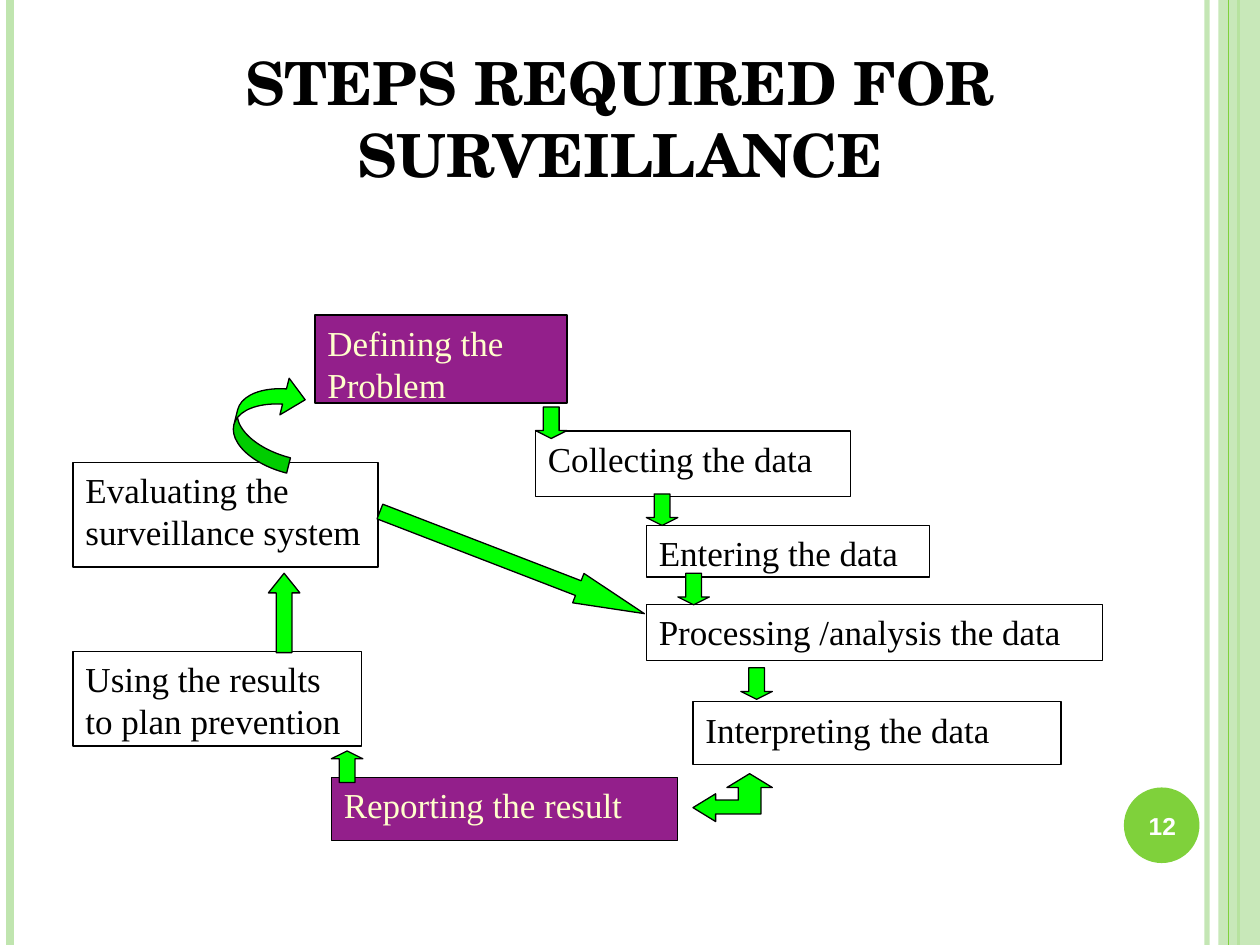
from lxml.etree import SubElement
from pptx import Presentation
from pptx.dml.color import RGBColor
from pptx.enum.shapes import MSO_CONNECTOR, MSO_SHAPE
from pptx.enum.text import MSO_ANCHOR, MSO_AUTO_SIZE, PP_ALIGN
from pptx.oxml.ns import qn
from pptx.util import Inches, Pt

THEME = {
    "ink": "000000", "paper": "FFFFFF", "plum": "931F8B", "cream": "FFFFCC",
    "lime": "00FF00", "leaf": "7FD13B", "pale": "C0E5AF",
    "head": ("TeX Gyre Schola", 34), "body": ("Times New Roman", 20),
    "page": ("Arial", 14), "edge": 0.75,
}

TITLE = "STEPS REQUIRED FOR SURVEILLANCE"
PAGE = "12"

# text, (left, top, width, height), highlighted
STEPS = [
    ("Defining the Problem", (2.5, 2.5, 2, 0.7), True),
    ("Collecting the data", (4.25, 3.42, 2.5, 0.52), False),
    ("Processing /analysis the data", (5.13, 4.8, 3.62, 0.44), False),
    ("Entering the data", (5.13, 4.17, 2.25, 0.41), False),
    ("Interpreting the data", (5.5, 5.57, 2.92, 0.5), False),
    ("Reporting the result", (2.63, 6.17, 2.75, 0.5), True),
    ("Using the results to plan prevention", (0.58, 5.17, 2.29, 0.75), False),
    ("Evaluating the surveillance system", (0.58, 3.67, 2.42, 0.83), False),
]

# shape, (left, top, width, height), adjustments, rotation
DOWN, UP = MSO_SHAPE.DOWN_ARROW, MSO_SHAPE.UP_ARROW
ARROWS = [(DOWN, (x, y, 0.25, 0.25), (0.5, 0.25), 0)
          for x, y in [(4.25, 3.23), (5.13, 3.92), (5.38, 4.55), (5.88, 5.3)]]
ARROWS += [
    (UP, (2.63, 5.96, 0.25, 0.25), (0.5, 0.25), 0),
    (UP, (2.13, 4.55, 0.25, 0.63), (0.5, 0.625), 0),
    (MSO_SHAPE.CURVED_DOWN_ARROW, (1.75, 3.08, 0.75, 0.5),
     (0.25, 0.6, 0.33), 284.2),
    (UP, (3.94, 3.34, 0.25, 2.25), (0.5, 2.25), 111.1),
]

# Two-headed bend, in hundredths of an inch
BEND = [(595, 614), (577, 625), (586, 625), (586, 635), (568, 635), (568, 630),
        (550, 641), (568, 652), (568, 646), (604, 646), (604, 625), (613, 625)]

# x, colour, width, opacity of the full-height rules
RULES = [(9.58, "pale", 3, 93), (0.08, "pale", 4.5, 100),
         (9.83, "leaf", 1.5, 100), (9.75, "leaf", 0.75, 100)]


def tone(name):
    return RGBColor.from_string(THEME[name])


def fade(fill, part):
    """Set the opacity, in percent, of a solid colour in the given element."""
    node = fill.find(".//" + qn("a:srgbClr"))
    SubElement(node, qn("a:alpha")).set("val", str(part * 1000))


def paint(shape, fill, edge=None):
    shape.shadow.inherit = False
    shape.fill.solid()
    shape.fill.fore_color.rgb = tone(fill)
    if edge:
        shape.line.color.rgb = tone(edge)
        shape.line.width = Pt(THEME["edge"])
    else:
        shape.line.fill.background()


def draw(slide, kind, box, fill, edge=None):
    shape = slide.shapes.add_shape(kind, *map(Inches, box))
    paint(shape, fill, edge)
    return shape


def write(shape, text, style="body", color="ink", bold=False,
          align=PP_ALIGN.LEFT, anchor=MSO_ANCHOR.TOP):
    frame = shape.text_frame
    frame.word_wrap = True
    frame.auto_size = MSO_AUTO_SIZE.NONE
    frame.vertical_anchor = anchor
    para = frame.paragraphs[0]
    para.alignment = align
    run = para.add_run()
    run.text = text
    font = run.font
    name, size = THEME[style]
    font.name, font.size, font.bold = name, Pt(size), bold
    font.color.rgb = tone(color)


def rule(slide, x, color, width, part):
    line = slide.shapes.add_connector(
        MSO_CONNECTOR.STRAIGHT, Inches(x), 0, Inches(x), Inches(7.5))
    line.line.color.rgb = tone(color)
    line.line.width = Pt(width)
    props = line.line._get_or_add_ln()
    if part < 100:
        fade(props, part)
    SubElement(props.getparent(), qn("a:effectLst"))


def main():
    deck = Presentation()
    deck.slide_width, deck.slide_height = Inches(10), Inches(7.5)
    slide = deck.slides.add_slide(deck.slide_layouts[5])

    # Side rules and band
    for item in RULES[:3]:
        rule(slide, *item)
    band = draw(slide, MSO_SHAPE.RECTANGLE, (9.67, 0, 0.33, 7.5), "pale")
    fade(band.fill._xPr, 87)
    rule(slide, *RULES[3])

    # Page number
    draw(slide, MSO_SHAPE.OVAL, (8.92, 6.25, 0.6, 0.6), "leaf")
    label = slide.shapes.add_textbox(*map(Inches, (8.89, 6.27, 0.67, 0.57)))
    write(label, PAGE, style="page", color="paper", bold=True,
          align=PP_ALIGN.CENTER, anchor=MSO_ANCHOR.MIDDLE)

    # Title
    title = slide.shapes.title
    title.left, title.top, title.width, title.height = map(
        Inches, (0.42, 0.33, 9, 1.22))
    write(title, TITLE, style="head", bold=True,
          align=PP_ALIGN.CENTER, anchor=MSO_ANCHOR.BOTTOM)

    # Steps
    for text, box, key in STEPS:
        fill, color = ("plum", "cream") if key else ("paper", "ink")
        step = draw(slide, MSO_SHAPE.RECTANGLE, box, fill, "ink")
        write(step, text, color=color)

    # Arrows
    for kind, box, adjust, turn in ARROWS:
        arrow = draw(slide, kind, box, "lime", "ink")
        arrow.rotation = turn
        for i, value in enumerate(adjust):
            arrow.adjustments[i] = value
    path = slide.shapes.build_freeform(*BEND[0], scale=Inches(0.01))
    path.add_line_segments(BEND[1:], close=True)
    paint(path.convert_to_shape(), "lime", "ink")

    deck.save("out.pptx")


if __name__ == "__main__":
    main()
